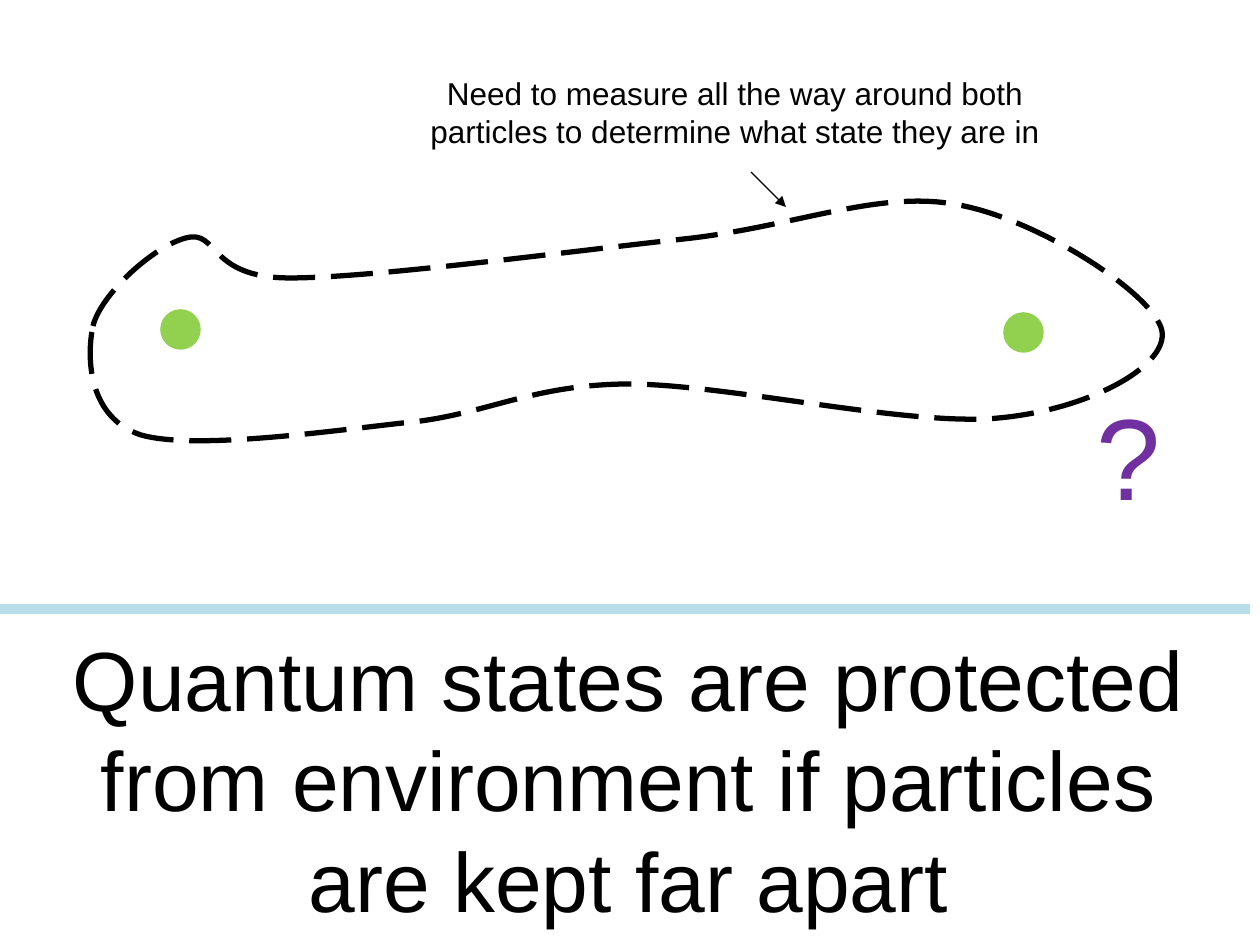
import pptx
import pptx.dml.color
import pptx.enum.dml
import pptx.enum.shapes
import pptx.enum.text
import pptx.oxml
import pptx.oxml.ns
import pptx.util

BLACK = pptx.dml.color.RGBColor(0x00, 0x00, 0x00)
GREEN = pptx.dml.color.RGBColor(0x92, 0xD0, 0x50)
PURPLE = pptx.dml.color.RGBColor(0x70, 0x30, 0xA0)
PALE_BLUE = pptx.dml.color.RGBColor(0xB7, 0xDE, 0xE8)
CENTER = pptx.enum.text.PP_ALIGN.CENTER
LEFT = pptx.enum.text.PP_ALIGN.LEFT

LOOP_START = (93, 326)
LOOP_CURVES = [
    ((101, 294), (154, 246), (186, 238)),
    ((219, 229), (207, 278), (290, 278)),
    ((373, 278), (572, 251), (684, 239)),
    ((795, 227), (879, 189), (959, 205)),
    ((1040, 220), (1155, 295), (1162, 331)),
    ((1168, 367), (1087, 410), (999, 418)),
    ((910, 427), (727, 384), (627, 384)),
    ((528, 385), (484, 416), (403, 423)),
    ((323, 432), (194, 450), (141, 435)),
    ((89, 418), (86, 359), LOOP_START),
]


def px(length):
    return round(length * 914400 / 126)


def drawing_element(tag, attributes=""):
    namespace = pptx.oxml.ns.nsdecls("a")
    return pptx.oxml.parse_xml(f"<a:{tag} {namespace} {attributes}/>")


class SlideBuilder:
    font = "Arial"

    def __init__(self, slide):
        self.slide = slide

    def set_line(self, shape, color, width):
        shape.line.color.rgb = color
        shape.line.width = pptx.util.Pt(width)

    def dot(self, left, top, size, color):
        shape = self.slide.shapes.add_shape(
            pptx.enum.shapes.MSO_SHAPE.OVAL, px(left), px(top), px(size), px(size))
        shape.shadow.inherit = False
        shape.fill.solid()
        shape.fill.fore_color.rgb = color
        self.set_line(shape, color, 2)

    def line(self, start, end, color, width, arrow=False):
        connector = self.slide.shapes.add_connector(
            pptx.enum.shapes.MSO_CONNECTOR.STRAIGHT, *map(px, start + end))
        self.set_line(connector, color, width)
        properties = connector._element.spPr
        properties.append(drawing_element("effectLst"))
        if arrow:
            outline = properties.find(pptx.oxml.ns.qn("a:ln"))
            outline.append(drawing_element("tailEnd", 'type="triangle"'))

    def dashed_loop(self, start, curves, color, width):
        points = [tuple(map(px, point)) for curve in curves for point in curve]
        builder = self.slide.shapes.build_freeform(*map(px, start))
        builder.add_line_segments(points, close=True)
        shape = builder.convert_to_shape()
        self.bend_segments(shape)
        shape.shadow.inherit = False
        shape.fill.background()
        self.set_line(shape, color, width)
        shape.line.dash_style = pptx.enum.dml.MSO_LINE.LONG_DASH

    def bend_segments(self, shape):
        segments = list(shape._element.iter(pptx.oxml.ns.qn("a:lnTo")))
        for first in range(0, len(segments), 3):
            curve = drawing_element("cubicBezTo")
            segments[first].addprevious(curve)
            for segment in segments[first:first + 3]:
                curve.append(segment[0])
                segment.getparent().remove(segment)

    def text(self, left, top, width, height, words, size, color, alignment, wrap=True):
        box = self.slide.shapes.add_textbox(px(left), px(top), px(width), px(height))
        frame = box.text_frame
        frame.text = words
        frame.word_wrap = wrap
        frame.auto_size = pptx.enum.text.MSO_AUTO_SIZE.SHAPE_TO_FIT_TEXT
        paragraph = frame.paragraphs[0]
        paragraph.alignment = alignment
        for run in paragraph.runs:
            run.font.name = self.font
            run.font.size = pptx.util.Pt(size)
            run.font.color.rgb = color


def main():
    presentation = pptx.Presentation()
    presentation.slide_width = px(1260)
    presentation.slide_height = px(945)
    builder = SlideBuilder(presentation.slides.add_slide(presentation.slide_layouts[6]))

    builder.dot(162, 311, 37, GREEN)
    builder.dot(1005, 314, 37, GREEN)
    builder.line((0, 609), (1250, 609), PALE_BLUE, 6)
    builder.text(34, 621, 1189, 315,
                 "Quantum states are protected from environment if particles are kept far apart",
                 48, BLACK, CENTER)
    builder.dashed_loop(LOOP_START, LOOP_CURVES, BLACK, 3)
    builder.text(410, 68, 650, 88,
                 "Need to measure all the way around both particles "
                 "to determine what state they are in",
                 18, BLACK, CENTER)
    builder.line((751, 172), (786, 207), BLACK, 0.75, arrow=True)
    builder.text(1084, 379, 89, 151, "?", 66, PURPLE, LEFT, wrap=False)
    presentation.save("out.pptx")


if __name__ == "__main__":
    main()
